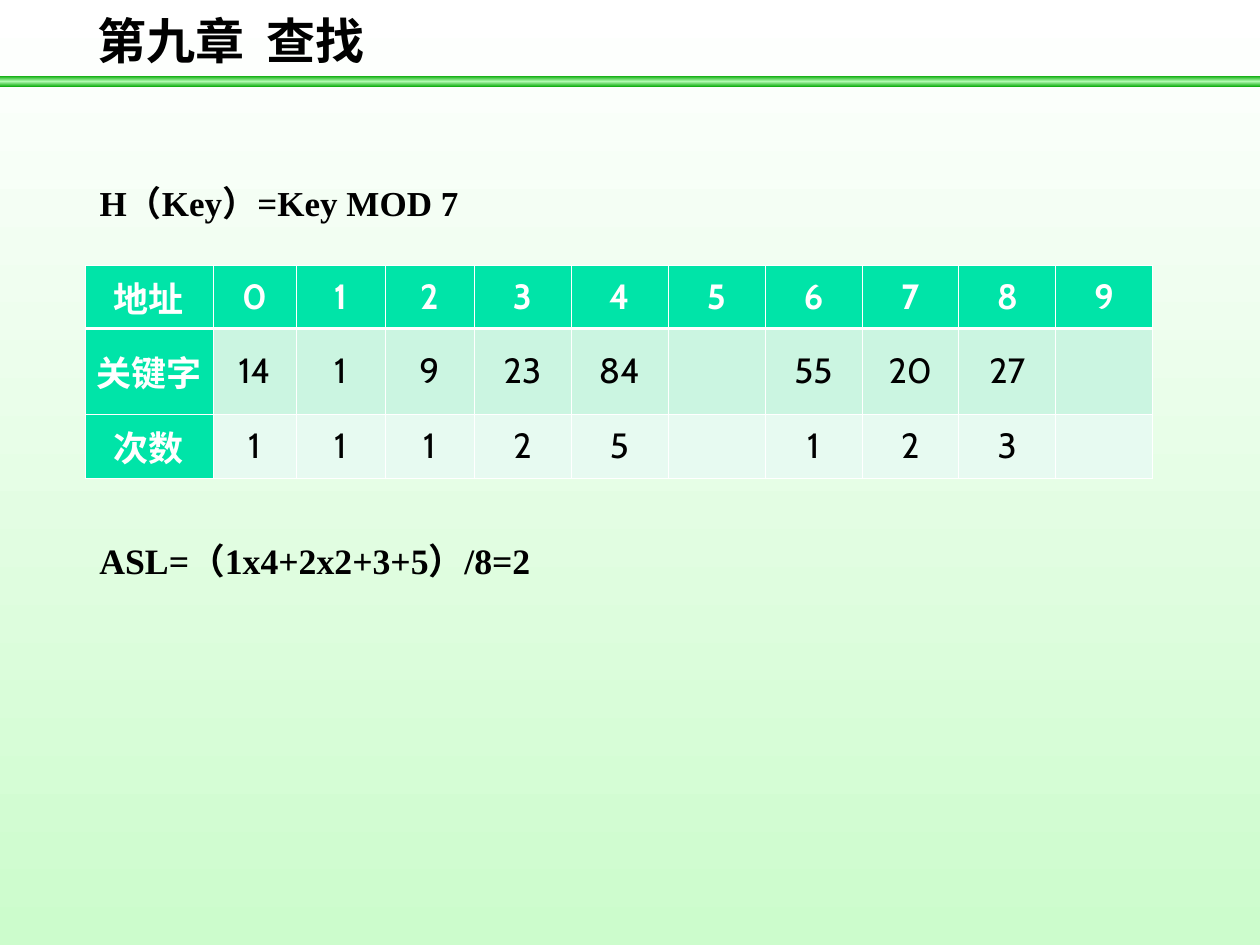
import pptx
import pptx.dml.color
import pptx.enum.shapes
import pptx.enum.text
import pptx.oxml.ns
import pptx.util
from lxml import etree

PX = 914400 // 126
qn = pptx.oxml.ns.qn
Anchor = pptx.enum.text.MSO_ANCHOR
Align = pptx.enum.text.PP_ALIGN

HEADER_FILL = "00E4A8"
ROW_FILLS = [HEADER_FILL, "CBF5E1", "E7FAF1"]
COLUMNS = [128, 83, 89, 89] + [97] * 7
ROWS = [63, 86, 62]
THIN, THICK = 0.45, 1.47
HASH_TABLE = [
    ["地址", *"0123456789"],
    ["关键字", "14", "1", "9", "23", "84", "", "55", "20", "27", ""],
    ["次数", "1", "1", "1", "2", "5", "", "1", "2", "3", ""],
]


def px(n):
    return pptx.util.Emu(n * PX)


def color(value):
    return pptx.dml.color.RGBColor.from_string(value)


def place(sp, left, top, width, height):
    box = {"left": left, "top": top, "width": width, "height": height}
    for name, value in box.items():
        setattr(sp, name, px(value))


def write(tf, text, size, font, rgb="000000", bold=True, align=Align.LEFT):
    p = tf.paragraphs[0]
    p.alignment = align
    if text:
        r = p.add_run()
        r.text = text
        style = {"size": pptx.util.Pt(size), "name": font, "bold": bold}
        for name, value in style.items():
            setattr(r.font, name, value)
        r.font.color.rgb = color(rgb)
    return p


def set_frame(tf):
    frame = {
        "word_wrap": True,
        "auto_size": pptx.enum.text.MSO_AUTO_SIZE.NONE,
        "vertical_anchor": Anchor.TOP,
    }
    for name, value in frame.items():
        setattr(tf, name, value)


def add_text(s, box, text, size, font):
    sp = s.shapes.add_textbox(*map(px, box))
    set_frame(sp.text_frame)
    return write(sp.text_frame, text, size, font)


def set_gradient(fill, owner, colors):
    """Fill from top to bottom with evenly spaced colours."""
    fill.gradient()
    fill.gradient_angle = 270
    stops = owner.find(".//" + qn("a:gsLst"))
    for stop in list(stops):
        stops.remove(stop)
    for i, value in enumerate(colors):
        pos = str(100000 * i // (len(colors) - 1))
        stop = etree.SubElement(stops, qn("a:gs"), pos=pos)
        etree.SubElement(stop, qn("a:srgbClr"), val=value)


def add_bar(s):
    sp = s.shapes.add_shape(
        pptx.enum.shapes.MSO_SHAPE.RECTANGLE, 0, px(76), px(1260), px(11))
    sp.shadow.inherit = False
    sp.line.fill.background()
    set_gradient(sp.fill, sp.element, ["09AB09", "B1FBB1", "09AB09"])


def set_borders(cell, top, bottom):
    tc_pr = cell._tc.get_or_add_tcPr()
    widths = {"lnL": THIN, "lnR": THIN, "lnT": top, "lnB": bottom}
    for side, width in widths.items():
        ln = etree.SubElement(
            tc_pr, qn("a:" + side), w=str(pptx.util.Pt(width)))
        fill = etree.SubElement(ln, qn("a:solidFill"))
        etree.SubElement(fill, qn("a:srgbClr"), val="FFFFFF")


def format_cell(cell, text, row, col):
    header = row == 0 or col == 0
    set_borders(cell, THICK if row == 1 else THIN, THICK if row == 0 else THIN)
    cell.fill.solid()
    cell.fill.fore_color.rgb = color(HEADER_FILL if header else ROW_FILLS[row])
    cell.vertical_anchor = Anchor.MIDDLE
    cell.margin_left = cell.margin_right = px(10)
    write(cell.text_frame, text, 20, "Cabin",
          "FFFFFF" if header else "000000", header, Align.CENTER)


def add_hash_table(s):
    table = s.shapes.add_table(
        len(ROWS), len(COLUMNS), px(85), px(265),
        px(sum(COLUMNS)), px(sum(ROWS))).table
    table.first_row = table.horz_banding = False
    for column, width in zip(table.columns, COLUMNS):
        column.width = px(width)
    for row, height in zip(table.rows, ROWS):
        row.height = px(height)
    for i, values in enumerate(HASH_TABLE):
        for j, text in enumerate(values):
            format_cell(table.cell(i, j), text, i, j)


def main():
    prs = pptx.Presentation()
    prs.slide_width, prs.slide_height = px(1260), px(945)
    s = prs.slides.add_slide(prs.slide_layouts[5])
    set_gradient(s.background.fill, s.element, ["FFFFFF", "CCFCCC"])

    add_bar(s)
    add_text(s, (85, 4, 486, 72), "第九章  查找", 28, "Cabin")

    title = s.shapes.title
    place(title, 87, 175, 1087, 58)
    set_frame(title.text_frame)
    write(title.text_frame, "H（Key）=Key MOD 7", 20, "Times New Roman")

    add_hash_table(s)
    p = add_text(s, (87, 537, 1087, 58), "ASL=（1x4+2x2+3+5）/8=2",
                 20.4, "Times New Roman")
    p.line_spacing = 0.9
    prs.save("out.pptx")


if __name__ == "__main__":
    main()
